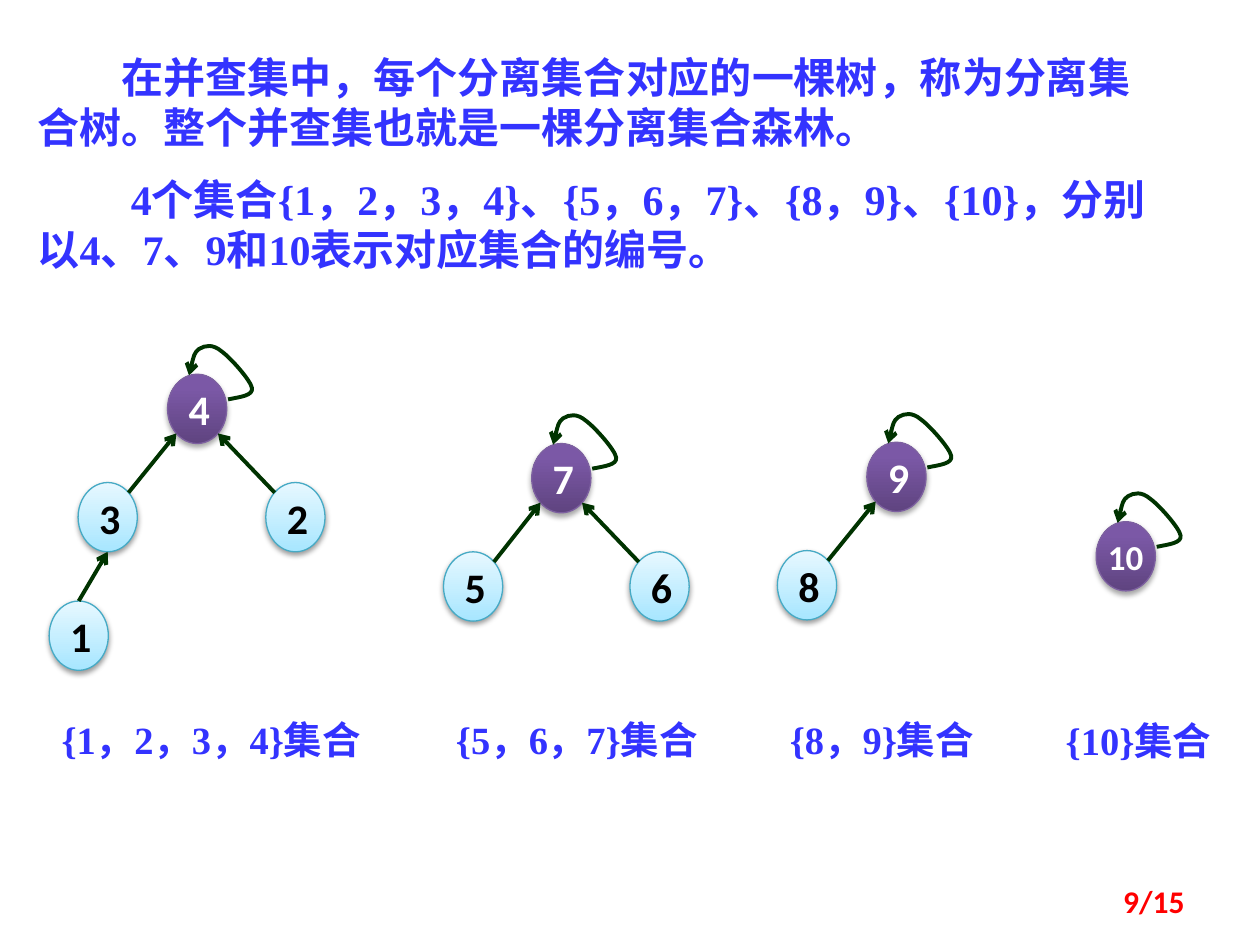
from typing import NamedTuple

from lxml.etree import SubElement
from pptx import Presentation
from pptx.dml.color import RGBColor
from pptx.enum.shapes import MSO_CONNECTOR as Link, MSO_SHAPE as Form
from pptx.enum.text import MSO_ANCHOR as Anchor, MSO_AUTO_SIZE as Fit, PP_ALIGN as Align
from pptx.oxml.ns import qn
from pptx.util import Inches, Pt

BLUE = RGBColor(0x33, 0x33, 0xFF)
RED = RGBColor(0xFF, 0x00, 0x00)
GREEN = RGBColor(0x00, 0x33, 0x00)
WHITE = RGBColor(0xFF, 0xFF, 0xFF)
BLACK = RGBColor(0x00, 0x00, 0x00)
PURPLE_LOW = RGBColor(0x5F, 0x44, 0x80)
PURPLE_TOP = RGBColor(0x7B, 0x58, 0xA6)
PURPLE_EDGE = RGBColor(0x7D, 0x60, 0xA0)
SKY_LOW = RGBColor(0xA7, 0xE6, 0xFF)
SKY_TOP = RGBColor(0xE7, 0xF8, 0xFF)
SKY_EDGE = RGBColor(0x46, 0xAA, 0xC5)

SERIF, SANS = "Times New Roman", "Calibri"
WIDE, HIGH = 0.47, 0.55
NEAR, FAR = 0.07, 0.40
LOOP = [(0.48, 0.20), (0.58, 0.18), (0.68, 0.17), (0.67, 0.11),
        (0.66, 0.05), (0.50, -0.13), (0.43, -0.18),
        (0.36, -0.24), (0.30, -0.23), (0.25, -0.20),
        (0.21, -0.17), (0.19, -0.08), (0.17, 0.01)]


class Look(NamedTuple):
    low: RGBColor
    top: RGBColor
    stop: float
    edge: RGBColor
    ink: RGBColor
    alpha: int
    drop: float


class Node(NamedTuple):
    text: str
    left: float
    top: float


class Label(NamedTuple):
    text: str
    left: float
    top: float
    width: float


class Tree(NamedTuple):
    root: Node
    kids: list[Node]
    leaves: list[tuple[Node, Node]]
    label: Label


ROOT = Look(PURPLE_LOW, PURPLE_TOP, 0.8, PURPLE_EDGE, WHITE, 35, 1.8)
CHILD = Look(SKY_LOW, SKY_TOP, 1.0, SKY_EDGE, BLACK, 38, 1.6)

THREE = Node("3", 0.62, 3.83)
TREES = [
    Tree(Node("4", 1.33, 2.97), [THREE, Node("2", 2.11, 3.83)],
         [(Node("1", 0.39, 4.77), THREE)],
         Label("{1，2，3，4}集合", 0.39, 5.63, 2.73)),
    Tree(Node("7", 4.22, 3.52), [Node("5", 3.52, 4.38), Node("6", 5.00, 4.38)],
         [], Label("{5，6，7}集合", 3.52, 5.63, 2.19)),
    Tree(Node("9", 6.88, 3.51), [Node("8", 6.17, 4.37)],
         [], Label("{8，9}集合", 6.17, 5.63, 1.80)),
    Tree(Node("10", 8.70, 4.14), [],
         [], Label("{10}集合", 8.36, 5.64, 1.41)),
]
INTRO = [
    ("在并查集中，每个分离集合对应的一棵树，称为分离集合树。整个并查集也就是一棵分离集合森林。", 0.67),
    ("4个集合{1，2，3，4}、{5，6，7}、{8，9}、{10}，分别以4、7、9和10表示对应集合的编号。", 0.74),
]


def style(para, size: float, face: str, color: RGBColor) -> None:
    for run in para.runs:
        font = run.font
        font.size, font.name, font.bold = Pt(size), face, True
        font.color.rgb = color


def add_box(shapes, left: float, top: float, width: float, height: float):
    box = shapes.add_textbox(Inches(left), Inches(top), Inches(width), Inches(height))
    box.text_frame.word_wrap = True
    return box.text_frame


def add_arrow(line) -> None:
    line.color.rgb = GREEN
    line.width = Pt(2.25)
    SubElement(line._get_or_add_ln(), qn("a:tailEnd"), type="arrow")


def add_node(shapes, node: Node, look: Look) -> None:
    oval = shapes.add_shape(Form.OVAL, Inches(node.left), Inches(node.top),
                            Inches(WIDE), Inches(HIGH))
    fill = oval.fill
    fill.gradient()
    fill.gradient_angle = 90
    low, top = fill.gradient_stops
    low.position, top.position = 0, look.stop
    low.color.rgb, top.color.rgb = look.low, look.top
    oval.line.color.rgb = look.edge
    oval.line.width = Pt(0.75)
    oval.shadow.inherit = False
    effects = oval._element.spPr.find(qn("a:effectLst"))
    shade = SubElement(effects, qn("a:outerShdw"), blurRad=str(Pt(3.1)),
                       dist=str(Pt(look.drop)), dir="5400000", rotWithShape="0")
    black = SubElement(shade, qn("a:srgbClr"), val="000000")
    SubElement(black, qn("a:alpha"), val=str(look.alpha * 1000))
    frame = oval.text_frame
    frame.text = node.text
    frame.vertical_anchor = Anchor.MIDDLE
    para = frame.paragraphs[0]
    para.alignment = Align.CENTER
    pair = len(node.text) > 1
    if pair:
        frame.margin_left = frame.margin_right = Inches(0)
    style(para, 20 if pair else 24, SANS, look.ink)


def add_edge(shapes, start: tuple[float, float], end: tuple[float, float]) -> None:
    edge = shapes.add_connector(Link.STRAIGHT, *map(Inches, start + end))
    add_arrow(edge.line)
    SubElement(edge._element.spPr, qn("a:effectLst"))


def add_loop(shapes, root: Node) -> None:
    spots = [(Inches(root.left + x), Inches(root.top + y)) for x, y in LOOP]
    maker = shapes.build_freeform(*spots[0])
    maker.add_line_segments(spots[1:], close=False)
    loop = maker.convert_to_shape()
    steps = list(loop._element.iter(qn("a:lnTo")))
    route = steps[0].getparent()
    for first in range(0, len(steps), 3):
        curve = SubElement(route, qn("a:cubicBezTo"))
        for step in steps[first:first + 3]:
            curve.append(step[0])
            route.remove(step)
    loop.fill.background()
    loop.shadow.inherit = False
    add_arrow(loop.line)


def add_tree(slide, tree: Tree) -> None:
    shapes = slide.shapes.add_group_shape().shapes
    root = tree.root
    add_node(shapes, root, ROOT)
    for kid in tree.kids + [leaf for leaf, _ in tree.leaves]:
        add_node(shapes, kid, CHILD)
    frame = add_box(shapes, *tree.label[1:], 0.47)
    frame.text = tree.label.text
    frame.auto_size = Fit.SHAPE_TO_FIT_TEXT
    style(frame.paragraphs[0], 22, SERIF, BLUE)
    for kid in tree.kids:
        out, into = (FAR, NEAR) if kid.left < root.left else (NEAR, FAR)
        add_edge(shapes, (kid.left + out, kid.top + 0.08),
                 (root.left + into, root.top + 0.47))
    for leaf, above in tree.leaves:
        add_edge(shapes, (leaf.left + WIDE / 2, leaf.top),
                 (above.left + WIDE / 2, above.top + HIGH))
    add_loop(shapes, root)


def add_intro(slide) -> None:
    frame = add_box(slide.shapes, 0.2, 0.36, 9.14, 1.92)
    frame.text = "\n".join(text for text, _ in INTRO)
    frame.auto_size = Fit.SHAPE_TO_FIT_TEXT
    for para, (_, indent) in zip(frame.paragraphs, INTRO):
        para._p.get_or_add_pPr().set("indent", str(Inches(indent)))
        style(para, 24, SERIF, BLUE)
    frame.paragraphs[1].space_before = Pt(12)


def add_page(slide) -> None:
    frame = add_box(slide.shapes, 7.17, 6.95, 2.33, 0.4)
    frame.text = "9/15"
    frame.vertical_anchor = Anchor.MIDDLE
    para = frame.paragraphs[0]
    para.alignment = Align.RIGHT
    style(para, 18, SANS, RED)


def main() -> None:
    deck = Presentation()
    deck.slide_width, deck.slide_height = Inches(10), Inches(7.5)
    slide = deck.slides.add_slide(deck.slide_layouts[6])
    add_intro(slide)
    for tree in TREES:
        add_tree(slide, tree)
    add_page(slide)
    deck.save("out.pptx")


if __name__ == "__main__":
    main()
